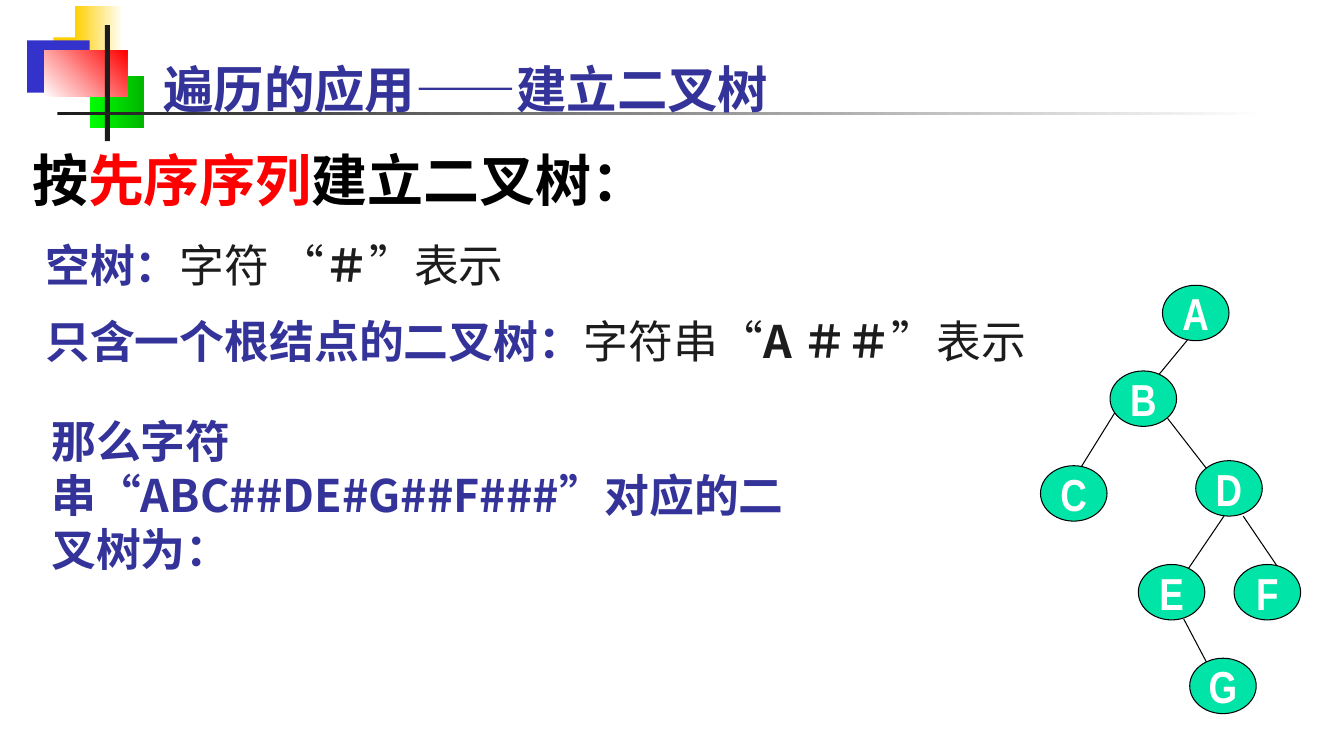
from dataclasses import dataclass

from lxml import etree
from pptx import Presentation
from pptx.dml.color import RGBColor
from pptx.enum.shapes import MSO_CONNECTOR, MSO_SHAPE
from pptx.enum.text import MSO_ANCHOR, PP_ALIGN
from pptx.oxml.ns import qn
from pptx.util import Emu, Pt

STRAIGHT = MSO_CONNECTOR.STRAIGHT
RECTANGLE, OVAL = MSO_SHAPE.RECTANGLE, MSO_SHAPE.OVAL
TOP, MIDDLE = MSO_ANCHOR.TOP, MSO_ANCHOR.MIDDLE
LEFT, CENTER = PP_ALIGN.LEFT, PP_ALIGN.CENTER
PX = 9144  # EMU per px, 100 px to the inch


@dataclass(frozen=True)
class Theme:
    latin: str = "Arial Narrow"
    chinese: str = "Noto Sans CJK SC"
    title_size: int = 36
    heading_size: int = 40
    body_size: int = 32
    line_width: float = 0.75
    navy: str = "333399"
    ink: str = "1C1C1C"
    black: str = "000000"
    white: str = "FFFFFF"
    red: str = "FF0000"
    yellow: str = "FFCF01"
    blue: str = "3333CC"
    lime: str = "00FF00"
    green: str = "00B600"
    node: str = "00E4A8"


theme = Theme()


def box(*lengths):
    return [Emu(length * PX) for length in lengths]


def write(paragraph, runs, size, name):
    """Fill a paragraph with (text, colour, bold) runs."""
    paragraph.font.size, paragraph.font.name = Pt(size), name
    for text, color, bold in runs:
        run = paragraph.add_run()
        run.text = text
        run.font.bold = bold
        run.font.color.rgb = RGBColor.from_string(color)


presentation = Presentation()
presentation.slide_width, presentation.slide_height = box(1333, 750)
slide = presentation.slides.add_slide(presentation.slide_layouts[5])
shapes = slide.shapes

# Corner blocks and rules: place, colours, gradient angle
decorations = [
    ((53, 37, 64, 52), [theme.yellow], 0),
    ((74, 6, 48, 52), [theme.yellow, theme.white], 0),
    ((27, 40, 62, 52), [theme.blue], 0),
    ((89, 75, 54, 52), [theme.lime, theme.green], 0),
    ((44, 50, 82, 46), [theme.white, theme.red], 45),
    ((104, 25, 5, 115), [theme.ink], 0),
    ((57, 111, 1200, 3), [theme.ink, theme.white], 0),
]
for place, colors, angle in decorations:
    block = shapes.add_shape(RECTANGLE, *box(*place))
    block.shadow.inherit = False
    block.line.fill.background()
    if len(colors) == 1:
        block.fill.solid()
        block.fill.fore_color.rgb = RGBColor.from_string(colors[0])
        continue
    block.fill.gradient()
    block.fill.gradient_angle = angle
    for stop, position, color in zip(block.fill.gradient_stops, (0, 1), colors):
        stop.position = position
        stop.color.rgb = RGBColor.from_string(color)

# Title, in front of the rules
title = shapes.title
title.left, title.top, title.width, title.height = box(152, 53, 850, 72)
title.text_frame.vertical_anchor = TOP
title.text_frame.paragraphs[0].alignment = LEFT
write(title.text_frame.paragraphs[0],
      [("遍历的应用——建立二叉树", theme.navy, True)], theme.title_size, theme.latin)
shapes._spTree.append(title._element)

# Heading and explanations: place, wrap, size, font, paragraphs
texts = [
    ((22, 139, 637, 77), False, theme.heading_size, theme.latin, [
        [("按", theme.black, True), ("先序序列", theme.red, True),
         ("建立二叉树：", theme.black, True)]]),
    ((35, 231, 1035, 145), True, theme.body_size, theme.chinese, [
        [("空树：", theme.navy, True), ("字符 “", theme.ink, False),
         ("＃", theme.ink, True), ("”表示", theme.ink, False)],
        [("只含一个根结点的二叉树：", theme.navy, True), ("字符串“", theme.ink, False),
         ("A ＃＃", theme.ink, True), ("”表示", theme.ink, False)]]),
    ((41, 406, 751, 118), True, theme.body_size, theme.chinese, [
        [("那么字符串“ABC##DE#G##F###”对应的二叉树为：", theme.navy, True)]]),
]
for place, wrap, size, name, paragraphs in texts:
    frame = shapes.add_textbox(*box(*place)).text_frame
    frame.word_wrap = wrap
    for index, runs in enumerate(paragraphs):
        paragraph = frame.add_paragraph() if index else frame.paragraphs[0]
        if index:
            paragraph.space_before = Pt(size / 2)
        write(paragraph, runs, size, name)

# Tree edges: A-B, B-C, B-D, D-E, D-F, E-G
edges = [
    (1178, 337, 1140, 383), (1106, 409, 1070, 467), (1158, 415, 1203, 473),
    (1214, 512, 1176, 568), (1233, 512, 1271, 568), (1174, 614, 1203, 669),
]
for ends in edges:
    edge = shapes.add_connector(STRAIGHT, *box(*ends))
    edge.line.width = Pt(theme.line_width)
    edge.line.color.rgb = RGBColor.from_string(theme.black)
    etree.SubElement(edge._element.spPr, qn("a:effectLst"))

# Tree nodes
nodes = {
    "A": (1153, 283), "B": (1101, 368), "C": (1032, 462), "D": (1186, 457),
    "E": (1129, 560), "F": (1224, 560), "G": (1180, 653),
}
for letter, (left, top) in nodes.items():
    node = shapes.add_shape(OVAL, *box(left, top, 66, 55))
    node.shadow.inherit = False
    node.fill.solid()
    node.fill.fore_color.rgb = RGBColor.from_string(theme.node)
    node.line.width = Pt(theme.line_width)
    node.line.color.rgb = RGBColor.from_string(theme.black)
    node.text_frame.word_wrap = False
    node.text_frame.vertical_anchor = MIDDLE
    paragraph = node.text_frame.paragraphs[0]
    paragraph.alignment = CENTER
    write(paragraph, [(letter, theme.white, True)], theme.body_size, theme.latin)

presentation.save("out.pptx")
